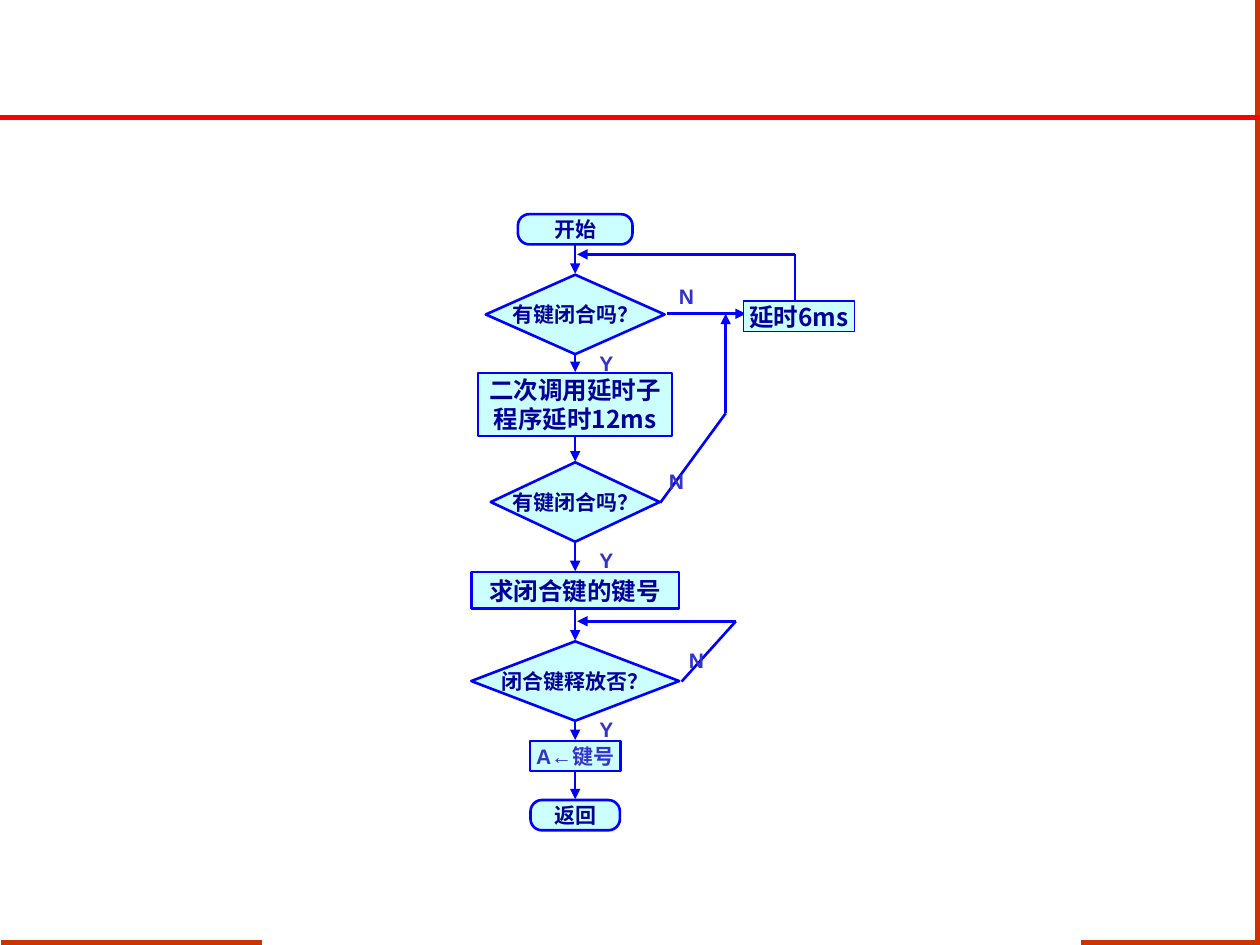
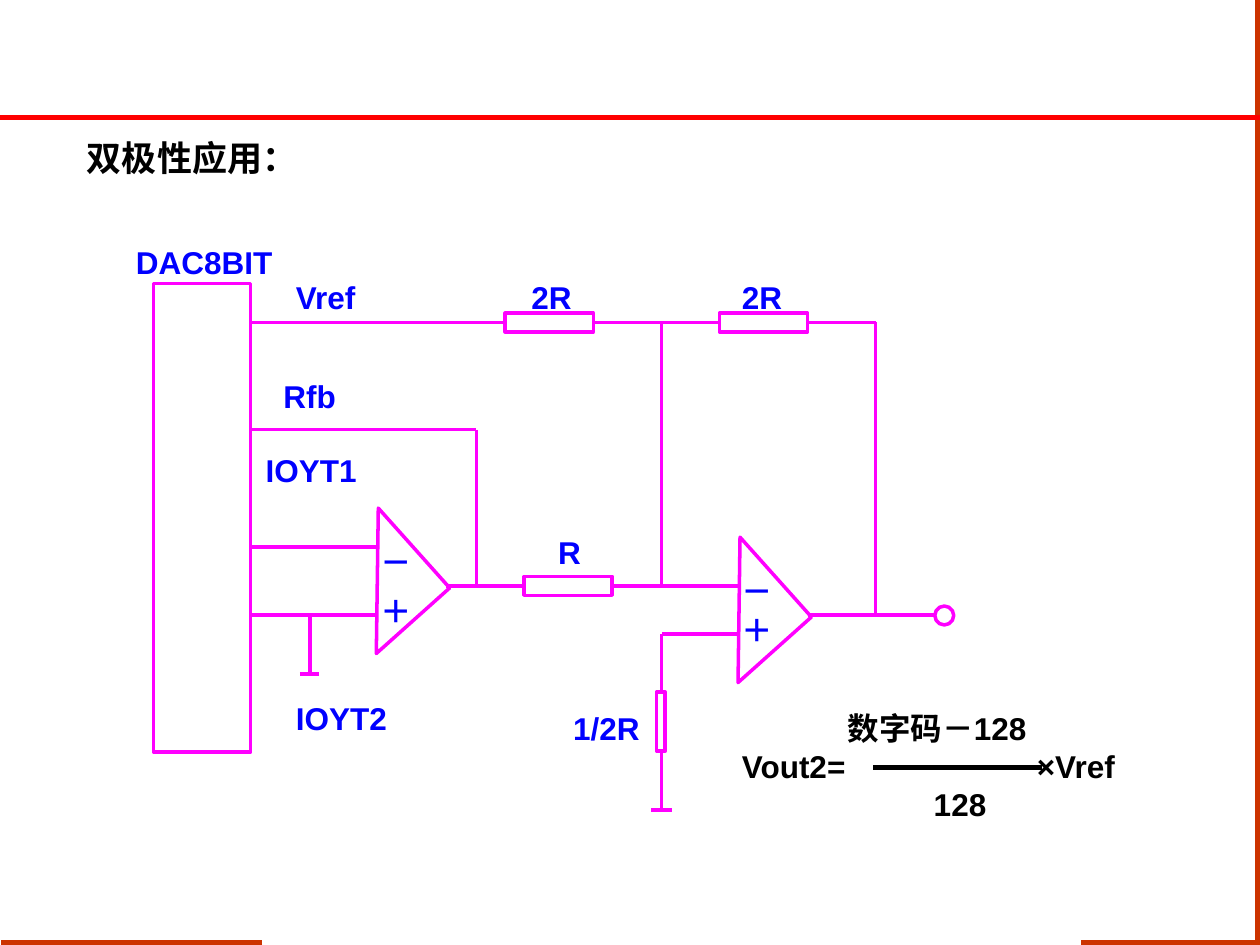
from dataclasses import dataclass
from itertools import pairwise

from pptx import Presentation
from pptx.dml.color import RGBColor
from pptx.enum.shapes import MSO_CONNECTOR, MSO_SHAPE as Shape
from pptx.enum.text import MSO_ANCHOR as Anchor, MSO_AUTO_SIZE as AutoSize, PP_ALIGN as Align
from pptx.oxml.ns import qn
from pptx.util import Pt


@dataclass(frozen=True)
class Theme:
    rust: str = "CC3300"
    red: str = "FF0000"
    blue: str = "0000FF"
    navy: str = "000099"
    indigo: str = "3333CC"
    ice: str = "CCFFFF"
    magenta: str = "FF00FF"
    black: str = "000000"
    latin: str = "Arial"
    cjk: str = "Noto Sans CJK SC"
    small: int = 12
    medium: int = 14
    large: int = 18
    title: int = 20
    thin: float = 0.75
    flow: float = 1.5
    wire: float = 2
    fraction: float = 2.5
    frame: float = 3


T = Theme()
TITLE_ONLY, BLANK = 5, 6

# Frame lines on every slide: colour, points
FRAME = [
    (T.rust, [(149.8, 538.6), (0.7, 538.6)]),
    (T.rust, [(718.6, 540), (718.6, 0)]),
    (T.rust, [(717.1, 538.6), (617.8, 538.6)]),
    (T.red, [(720, 67), (0, 67)]),
]

# Flowchart, top to bottom on one axis: lines, shape, top, width, height, size, font, colour
AXIS = 328.7
STEPS = [
    (["开始"], Shape.ROUNDED_RECTANGLE, 122.4, 65.5, 17.3, T.small, T.latin, T.navy),
    (["有键闭合吗？"], Shape.DIAMOND, 157, 102.2, 45.4, T.small, T.latin, T.navy),
    (["二次调用延时子", "程序延时12ms"], Shape.RECTANGLE, 213.1, 110.9, 36, T.medium, T.cjk, T.navy),
    (["有键闭合吗？"], Shape.DIAMOND, 264.2, 96.5, 45.4, T.small, T.latin, T.navy),
    (["求闭合键的键号"], Shape.RECTANGLE, 326.9, 118.8, 20.9, T.medium, T.cjk, T.navy),
    (["闭合键释放否？"], Shape.DIAMOND, 366.5, 118.8, 45.4, T.small, T.latin, T.navy),
    (["A←键号"], Shape.RECTANGLE, 423.4, 51.8, 17.3, T.small, T.latin, T.indigo),
    (["返回"], Shape.ROUNDED_RECTANGLE, 457.2, 51.1, 17.3, T.small, T.latin, T.navy),
]
DELAY = ("延时6ms", (424.8, 172.1, 63.4, 17.3))
BRANCHES = [
    [(380.9, 179.3), (426.2, 179.3)],
    [(454.3, 172.1), (454.3, 145.4), (329.8, 145.4)],
    [(377.3, 287.3), (414.7, 236.2), (414.7, 179.3)],
    [(389.5, 389.5), (420.5, 355), (329.8, 355)],
]
ANSWERS = [
    ("Y", 335.5, 196.6), ("Y", 335.5, 309.6), ("Y", 335.5, 406.1),
    ("N", 380.9, 158.4), ("N", 375.1, 264.2), ("N", 386.6, 366.5),
]

# Circuit
HEADING = ("双极性应用：", (42.5, 74.2, 134.6, 31.7))
CHIP_RIGHT, NODE, OUTPUT = 143.3, 378, 500.4
TOP_RAIL, FEEDBACK, MID_RAIL, LOW_RAIL = 184.3, 245.5, 334.8, 351.4
RES_W, RES_H = 50.4, 10.8
RES_1, RES_2, RES_3 = 288.7, 411.1, 299.5
CHIP = (87.8, 162, 55.5, 267.8)
RESISTORS = [(x, y - RES_H / 2, RES_W, RES_H)
             for x, y in [(RES_1, TOP_RAIL), (RES_2, TOP_RAIL), (RES_3, MID_RAIL)]]
HALF_RESISTOR = (375.2, 395.5, 5, 33.8)
TERMINAL = (534.2, 346.3, 10.8, 10.8)
AMPLIFIERS = [(185, 303.8), (391.7, 320.4)]
AMP_SIZE, AMP_TURN = (61.2, 56.2), 228.2
WIRES = [
    [(CHIP_RIGHT, TOP_RAIL), (RES_1, TOP_RAIL)],
    [(RES_1 + RES_W, TOP_RAIL), (RES_2, TOP_RAIL)],
    [(RES_2 + RES_W, TOP_RAIL), (OUTPUT, TOP_RAIL), (OUTPUT, LOW_RAIL)],
    [(CHIP_RIGHT, FEEDBACK), (272.2, FEEDBACK), (272.2, MID_RAIL)],
    [(CHIP_RIGHT, 312.5), (216, 312.5)],
    [(CHIP_RIGHT, LOW_RAIL), (216, LOW_RAIL)],
    [(177.1, LOW_RAIL), (177.1, 385.2)],
    [(171.4, 385.2), (182.2, 385.2)],
    [(254.9, MID_RAIL), (RES_3, MID_RAIL)],
    [(RES_3 + RES_W, MID_RAIL), (422.6, MID_RAIL)],
    [(NODE, TOP_RAIL), (NODE, MID_RAIL)],
    [(422.6, 362.2), (NODE, 362.2), (NODE, 396)],
    [(NODE, 429.8), (NODE, 463)],
    [(372.2, 463), (383.8, 463)],
    [(461.5, LOW_RAIL), (534.2, LOW_RAIL)],
]
CIRCUIT_LABELS = [  # text, left, top, width
    ("＋", 210.2, 334.8, 32.4), ("－", 210.2, 306.7, 31.7),
    ("－", 416.9, 323.3, 31.7), ("＋", 416.9, 345.6, 32.4),
    ("DAC8BIT", 70.6, 135.4, 107.3), ("Vref", 162, 155.5, 49),
    ("2R", 296.6, 155.5, 37.4), ("2R", 416.9, 155.5, 37.4),
    ("R", 311.8, 301, 27.4), ("1/2R", 320.4, 401.8, 52.6),
    ("IOYT1", 144.7, 254.2, 66.2), ("IOYT2", 162, 396, 66.2),
    ("Rfb", 154.8, 211.7, 43.9),
]
FORMULA = [
    ("数字码－128", 477.4, 401.8, 125), ("Vout2=", 416.9, 423.5, 74),
    ("×Vref", 585.4, 423.5, 60), ("128", 526.5, 445.2, 45),
]
FRACTION_BAR = [(499, 438.5), (595.4, 438.5)]


def rgb(colour):
    return RGBColor.from_string(colour)


def set_text(shape, lines, size, colour, font=T.latin, align=Align.LEFT, anchor=Anchor.TOP,
             wrap=False):
    tf = shape.text_frame
    layout = {"word_wrap": wrap, "auto_size": AutoSize.NONE, "vertical_anchor": anchor}
    for name, value in layout.items():
        setattr(tf, name, value)
    for i, line in enumerate(lines):
        p = tf.add_paragraph() if i else tf.paragraphs[0]
        p.alignment = align
        r = p.add_run()
        r.text = line
        for name, value in {"size": Pt(size), "bold": True, "name": font}.items():
            setattr(r.font, name, value)
        r.font.color.rgb = rgb(colour)
        ea = r.font._element.makeelement(qn("a:ea"), {"typeface": T.cjk})
        r.font._element.find(qn("a:latin")).addnext(ea)


def add_label(s, text, box, size, colour, wrap=False):
    set_text(s.shapes.add_textbox(*map(Pt, box)), [text], size, colour, wrap=wrap)


def add_outline(s, kind, box, colour, width, fill=None):
    shape = s.shapes.add_shape(kind, *map(Pt, box))
    shape.shadow.inherit = False
    if fill:
        shape.fill.solid()
        shape.fill.fore_color.rgb = rgb(fill)
    else:
        shape.fill.background()
    shape.line.color.rgb = rgb(colour)
    shape.line.width = Pt(width)
    return shape


def add_path(s, points, colour, width, arrow=False):
    """Join the points with straight connectors; the arrowhead goes on the last one."""
    for start, end in pairwise(points):
        line = s.shapes.add_connector(MSO_CONNECTOR.STRAIGHT, *map(Pt, start + end))
        line.line.color.rgb = rgb(colour)
        line.line.width = Pt(width)
        sp_pr = line._element.spPr
        sp_pr.append(sp_pr.makeelement(qn("a:effectLst"), {}))
    if arrow:
        ln = line.line._get_or_add_ln()
        ln.append(ln.makeelement(qn("a:tailEnd"), {"type": "triangle"}))


def add_slide(prs, layout):
    s = prs.slides.add_slide(prs.slide_layouts[layout])
    for colour, points in FRAME:
        add_path(s, points, colour, T.frame)
    return s


def add_step(s, lines, kind, box, size, font, colour, width=T.flow):
    shape = add_outline(s, kind, box, T.blue, width, T.ice)
    if kind == Shape.ROUNDED_RECTANGLE:
        shape.adjustments[0] = 0.38
    set_text(shape, lines, size, colour, font, Align.CENTER, Anchor.MIDDLE)


def build_flowchart(prs):
    s = add_slide(prs, BLANK)
    for lines, kind, top, w, h, size, font, colour in STEPS:
        add_step(s, lines, kind, (AXIS - w / 2, top, w, h), size, font, colour)
    for (_, _, top, _, h, *_), (_, _, next_top, *_) in pairwise(STEPS):
        add_path(s, [(AXIS, top + h), (AXIS, next_top - 0.5)], T.blue, T.flow, arrow=True)
    for points in BRANCHES:
        add_path(s, points, T.blue, T.flow, arrow=True)
    text, box = DELAY
    add_step(s, [text], Shape.RECTANGLE, box, T.medium, T.cjk, T.navy, T.thin)
    for text, left, top in ANSWERS:
        add_label(s, text, (left, top, 22.5, 21.6), T.small, T.indigo)


def build_circuit(prs):
    s = add_slide(prs, TITLE_ONLY)
    title, (text, box) = s.shapes.title, HEADING
    for name, value in zip(("left", "top", "width", "height"), box):
        setattr(title, name, Pt(value))
    set_text(title, [text], T.title, T.black, anchor=Anchor.MIDDLE)

    for box in [CHIP, HALF_RESISTOR, *RESISTORS]:
        add_outline(s, Shape.RECTANGLE, box, T.magenta, T.wire)
    add_outline(s, Shape.OVAL, TERMINAL, T.magenta, T.wire)
    for corner in AMPLIFIERS:
        amp = add_outline(s, Shape.RIGHT_TRIANGLE, corner + AMP_SIZE, T.magenta, T.wire)
        amp.rotation = AMP_TURN
    for points in WIRES:
        add_path(s, points, T.magenta, T.wire)
    add_path(s, FRACTION_BAR, T.black, T.fraction)

    for labels, colour in [(CIRCUIT_LABELS, T.blue), (FORMULA, T.black)]:
        for text, left, top, w in labels:
            # Wide boxes wrap so that their text keeps to the left edge
            wrap = colour == T.black or w > 100
            add_label(s, text, (left, top, w, 28.8), T.large, colour, wrap)


def main():
    prs = Presentation()
    prs.slide_width, prs.slide_height = Pt(720), Pt(540)
    build_flowchart(prs)
    build_circuit(prs)
    prs.save("out.pptx")


if __name__ == "__main__":
    main()
